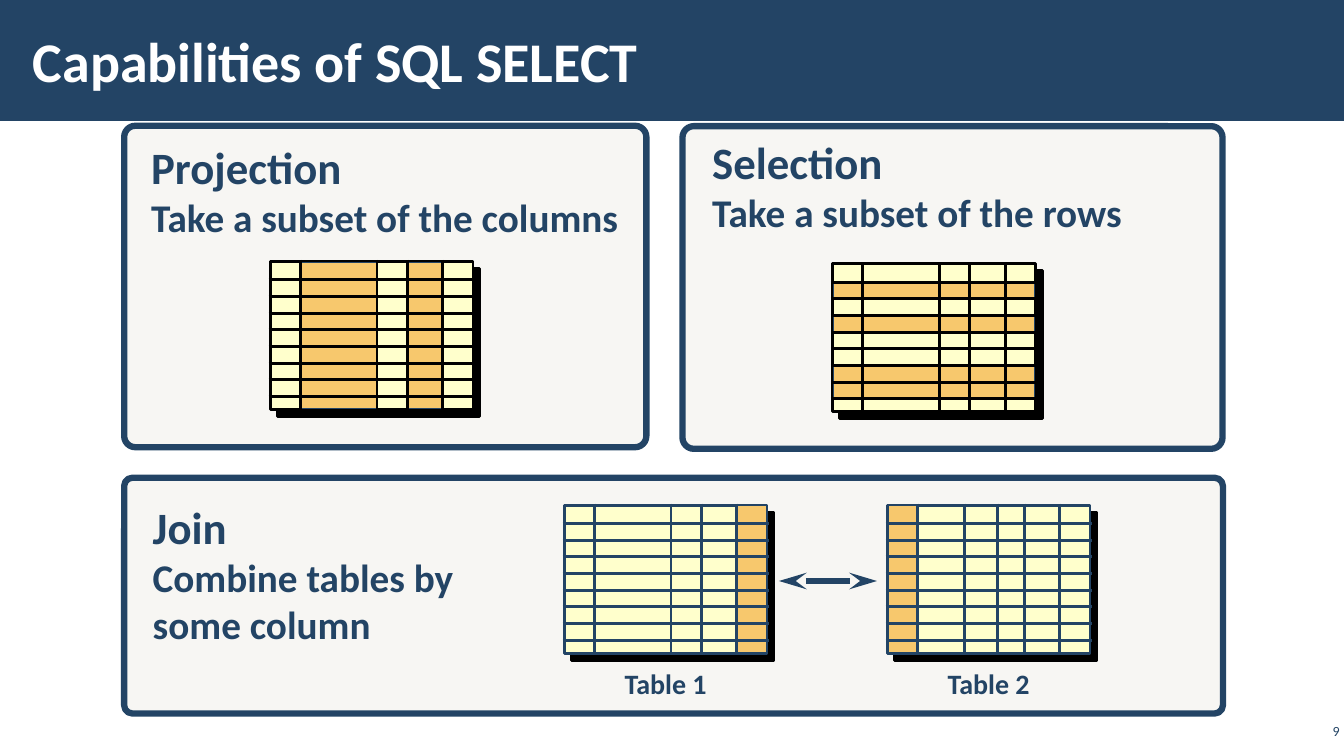
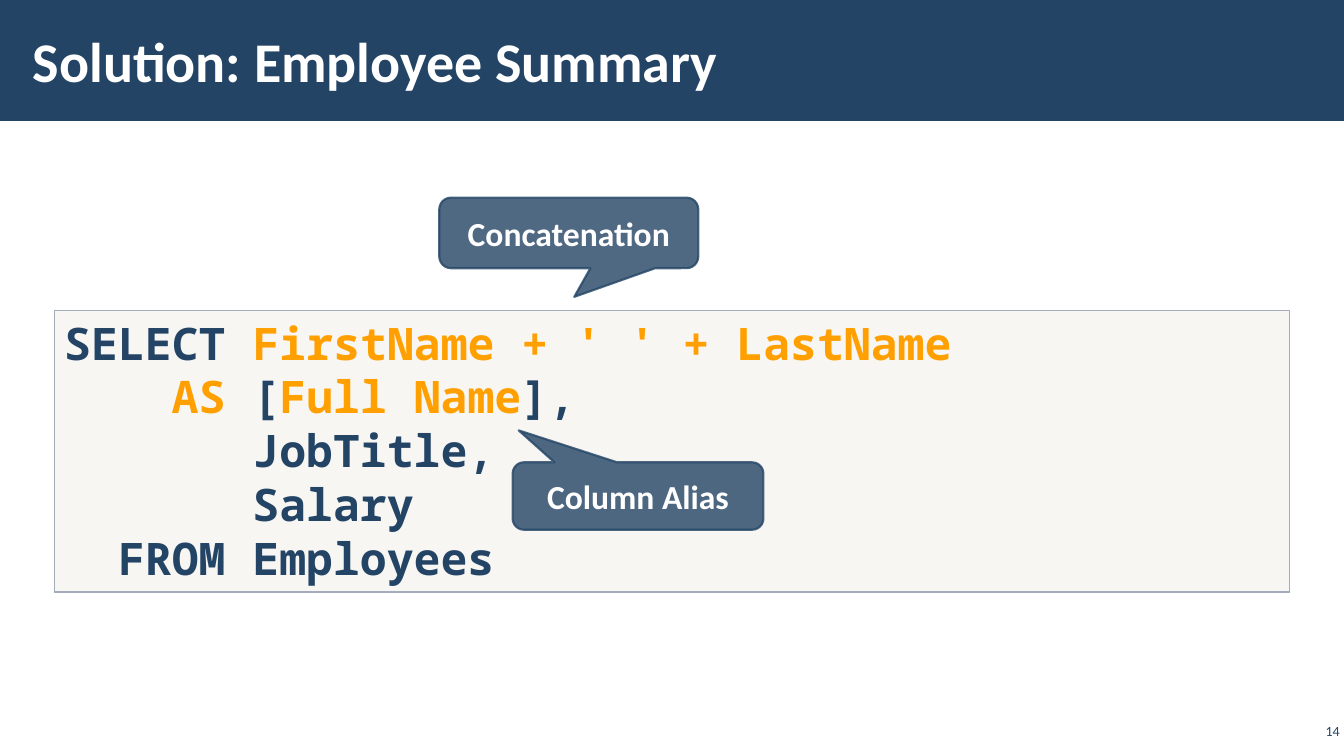
from dataclasses import dataclass
from itertools import accumulate

from lxml.etree import SubElement
from pptx import Presentation
from pptx.dml.color import RGBColor as Rgb
from pptx.enum.shapes import MSO_CONNECTOR as Connector
from pptx.enum.shapes import MSO_SHAPE as Preset
from pptx.enum.text import MSO_ANCHOR as Anchor
from pptx.enum.text import PP_ALIGN as Align
from pptx.oxml.ns import qn
from pptx.util import Cm, Pt


@dataclass(frozen=True)
class Theme:
    navy: Rgb = Rgb.from_string("234465")
    white: Rgb = Rgb.from_string("FFFFFF")
    black: Rgb = Rgb.from_string("000000")
    sand: Rgb = Rgb.from_string("D9D5C7")
    cream: Rgb = Rgb.from_string("FFFFCC")
    amber: Rgb = Rgb.from_string("F7C86D")
    orange: Rgb = Rgb.from_string("FFA000")
    code_edge: Rgb = Rgb.from_string("A3ABBC")
    body_font: str = "Calibri"
    code_font: str = "Noto Sans Mono"
    title: int = 40
    heading: int = 32
    body: int = 28
    code: int = 32
    callout: int = 24
    label: int = 20
    number: int = 10
    code_pitch: float = 38.4


THEME = Theme()

# Content: places are left, top, width, height in centimetres
SELECT_TITLE, SELECT_NUMBER = "Capabilities of SQL SELECT", "9"
PANELS = [
    {"frame": (17.2, 3.18, 13.61, 8.13), "text_at": (17.7, 3.26, 12, 2.82),
     "heading": "Selection", "lines": ["Take a subset of the rows"]},
    {"frame": (3.13, 3.17, 13.16, 8.1), "text_at": (3.56, 3.4, 12.7, 2.82),
     "heading": "Projection", "lines": ["Take a subset of the columns"]},
    {"frame": (3.13, 12.04, 27.69, 5.94), "text_at": (3.6, 12.47, 8.38, 4.01),
     "heading": "Join", "lines": ["Combine tables by", "some column"]},
]
FIVE_COLUMNS = [0.76, 1.93, 0.76, 0.9, 0.76]
SIX_COLUMNS = [0.76, 1.19, 0.82, 0.69, 0.89, 0.76]
GRID_ROWS = [0.46] + [0.42] * 7 + [0.33]
# Highlighted rows and columns are first and last index of each strip
GRIDS = [
    {"at": (20.98, 6.65), "widths": FIVE_COLUMNS, "edge": THEME.black,
     "rows": [(1, 1), (3, 3), (6, 7)]},
    {"at": (6.81, 6.59), "widths": FIVE_COLUMNS, "edge": THEME.black,
     "columns": [(1, 1), (3, 3)]},
    {"at": (14.22, 12.73), "widths": FIVE_COLUMNS, "edge": THEME.navy,
     "columns": [(4, 4)], "label": "Table 1"},
    {"at": (22.36, 12.73), "widths": SIX_COLUMNS, "edge": THEME.navy,
     "columns": [(0, 0)], "label": "Table 2"},
]
STRIP_INSET = 0.02
LINE_OVERHANG = 0.04
LABEL_DROP = 3.95
JOIN_ARROW = (19.63, 14.64, 22.1, 14.64)

SUMMARY_TITLE, SUMMARY_NUMBER = "Solution: Employee Summary", "14"
CODE_AT = (1.37, 7.82, 31.13, 7.1)
# Each line: indent in characters, then runs of text and colour
CODE_LINES = [
    (0, [("SELECT ", THEME.navy), ("FirstName + ' ' + LastName", THEME.orange)]),
    (4, [("AS ", THEME.orange), ("[", THEME.navy), ("Full Name", THEME.orange),
         ("],", THEME.navy)]),
    (7, [("JobTitle,", THEME.navy)]),
    (7, [("Salary", THEME.navy)]),
    (2, [("FROM Employees", THEME.navy)]),
]
CALLOUTS = [
    ("Concatenation", (11.07, 4.98, 6.53, 1.78), (0.021, 0.906, 0.167)),
    ("Column Alias", (12.92, 11.65, 6.32, 1.7), (-0.476, -0.974, 0.167)),
]


# Text and shape helpers
def add_run(para, text, size, color=THEME.navy, bold=True, font=THEME.body_font):
    span = para.add_run()
    span.text = text
    span.font.name, span.font.size = font, Pt(size)
    span.font.bold = bold
    span.font.color.rgb = color


def next_para(frame, index, align=Align.LEFT):
    para = frame.paragraphs[0] if index == 0 else frame.add_paragraph()
    para.alignment = align
    return para


def add_text(page, place, lines, align=Align.LEFT, bold=True):
    box = page.shapes.add_textbox(*map(Cm, place))
    box.text_frame.word_wrap = True
    for index, (text, size) in enumerate(lines):
        add_run(next_para(box.text_frame, index, align), text, size, bold=bold)
    return box


def set_insets(frame, side, edge):
    frame.margin_left = frame.margin_right = Cm(side)
    frame.margin_top = frame.margin_bottom = Cm(edge)


def set_alpha(shape, percent):
    for color in shape.element.spPr.iter(qn("a:srgbClr")):
        SubElement(color, qn("a:alpha"), val=str(percent * 1000))


def add_block(page, preset, place, fill, edge=None, width=0, fill_alpha=100):
    block = page.shapes.add_shape(preset, *map(Cm, place))
    block.shadow.inherit = False
    block.fill.solid()
    block.fill.fore_color.rgb = fill
    if fill_alpha < 100:
        set_alpha(block, fill_alpha)
    if edge is None:
        block.line.fill.background()
    else:
        block.line.color.rgb = edge
        block.line.width = Pt(width)
    return block


def add_line(page, ends, color, width):
    line = page.shapes.add_connector(Connector.STRAIGHT, *map(Cm, ends))
    line.line.color.rgb = color
    line.line.width = Pt(width)
    SubElement(line.element.spPr, qn("a:effectLst"))
    return line


# Parts shared by all slides
def add_layout_band(deck, layout):
    page = deck.slides[0]
    band = add_block(page, Preset.RECTANGLE, (0, 0, 33.87, 3.05), THEME.navy)
    layout.shapes.element.insert(2, band.element)


def add_page(deck, layout, title_text, number):
    page = deck.slides.add_slide(layout)
    title = page.shapes.title
    title.left, title.top, title.width, title.height = map(Cm, (0.53, 0.28, 26.42, 2.46))
    frame = title.text_frame
    frame.vertical_anchor = Anchor.MIDDLE
    set_insets(frame, 0.3, 0.1)
    add_run(next_para(frame, 0), title_text, THEME.title, THEME.white)
    box = add_text(page, (32.67, 18.15, 1.19, 0.56), [(number, THEME.number)],
                   Align.RIGHT, bold=False)
    set_insets(box.text_frame, 0.1, 0.1)
    box.text_frame.vertical_anchor = Anchor.MIDDLE
    return page


# Small grids with highlighted strips
def add_hard_shadow(shape):
    effects = shape.element.spPr.find(qn("a:effectLst"))
    shadow = SubElement(effects, qn("a:outerShdw"), blurRad="0", dist=str(Pt(7.1)),
                        dir=str(45 * 60000), algn="ctr", rotWithShape="0")
    SubElement(shadow, qn("a:srgbClr"), val=str(THEME.black))


def add_strip(page, left, top, right, bottom):
    place = (left + STRIP_INSET, top + STRIP_INSET,
             right - left - 2 * STRIP_INSET, bottom - top - 2 * STRIP_INSET)
    add_block(page, Preset.RECTANGLE, place, THEME.amber, THEME.navy, 0.75)


def add_grid(page, at, widths, edge, rows=(), columns=(), label=None):
    left, top = at
    xs = list(accumulate(widths, initial=left))
    ys = list(accumulate(GRID_ROWS, initial=top))
    right, bottom = xs[-1], ys[-1]
    base = add_block(page, Preset.RECTANGLE, (left, top, right - left, bottom - top),
                     THEME.cream, edge, 2)
    add_hard_shadow(base)
    for first, last in rows:
        add_strip(page, left, ys[first], right, ys[last + 1])
    for first, last in columns:
        add_strip(page, xs[first], top, xs[last + 1], bottom)
    for x in xs[1:-1]:
        add_line(page, (x, top - LINE_OVERHANG, x, bottom + LINE_OVERHANG), edge, 2)
    for y in ys[1:-1]:
        add_line(page, (left - LINE_OVERHANG, y, right + LINE_OVERHANG, y), edge, 2)
    if label:
        add_text(page, (left, top + LABEL_DROP, right - left, 1.12),
                 [(label, THEME.label)], Align.CENTER)


def add_double_arrow(page, ends):
    line = add_line(page, ends, THEME.navy, 4).element.spPr.find(qn("a:ln"))
    for end in ("a:headEnd", "a:tailEnd"):
        SubElement(line, qn(end), type="stealth", w="med", len="lg")


# Slide bodies
def fill_select_page(page):
    for panel in PANELS:
        frame = add_block(page, Preset.ROUNDED_RECTANGLE, panel["frame"],
                          THEME.sand, THEME.navy, 4.5, fill_alpha=20)
        frame.adjustments[0] = 0.035
        lines = [(panel["heading"], THEME.heading)]
        lines += [(line, THEME.body) for line in panel["lines"]]
        add_text(page, panel["text_at"], lines)
    for grid in GRIDS:
        add_grid(page, **grid)
    add_double_arrow(page, JOIN_ARROW)


def fill_summary_page(page):
    code = add_block(page, Preset.RECTANGLE, CODE_AT, THEME.sand, THEME.code_edge, 1,
                     fill_alpha=20)
    frame = code.text_frame
    frame.word_wrap, frame.vertical_anchor = True, Anchor.TOP
    for index, (indent, runs) in enumerate(CODE_LINES):
        para = next_para(frame, index)
        para.line_spacing = Pt(THEME.code_pitch)
        # One character of the code font is 0.6 of its size wide
        para._p.get_or_add_pPr().set("marL", str(Pt(indent * THEME.code * 0.6)))
        for text, color in runs:
            add_run(para, text, THEME.code, color, font=THEME.code_font)
    for text, place, adjustments in CALLOUTS:
        callout = add_block(page, Preset.ROUNDED_RECTANGULAR_CALLOUT, place,
                            THEME.navy, THEME.navy, 1.5)
        set_alpha(callout, 80)
        for index, value in enumerate(adjustments):
            callout.adjustments[index] = value
        callout.text_frame.vertical_anchor = Anchor.MIDDLE
        add_run(next_para(callout.text_frame, 0, Align.CENTER), text,
                THEME.callout, THEME.white)


def main():
    deck = Presentation()
    deck.slide_width, deck.slide_height = Cm(33.87), Cm(19.05)
    layout = deck.slide_layouts.get_by_name("Title Only")
    fill_select_page(add_page(deck, layout, SELECT_TITLE, SELECT_NUMBER))
    fill_summary_page(add_page(deck, layout, SUMMARY_TITLE, SUMMARY_NUMBER))
    add_layout_band(deck, layout)
    deck.save("out.pptx")


if __name__ == "__main__":
    main()
